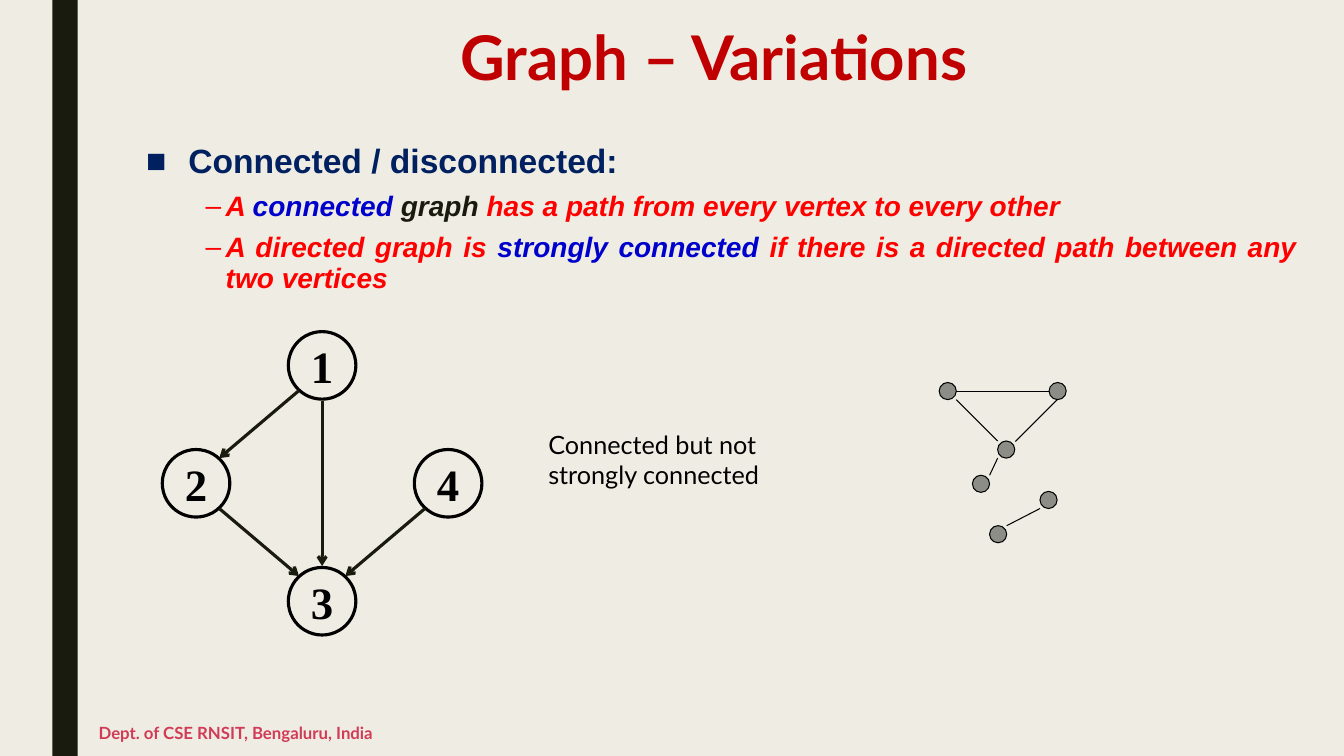
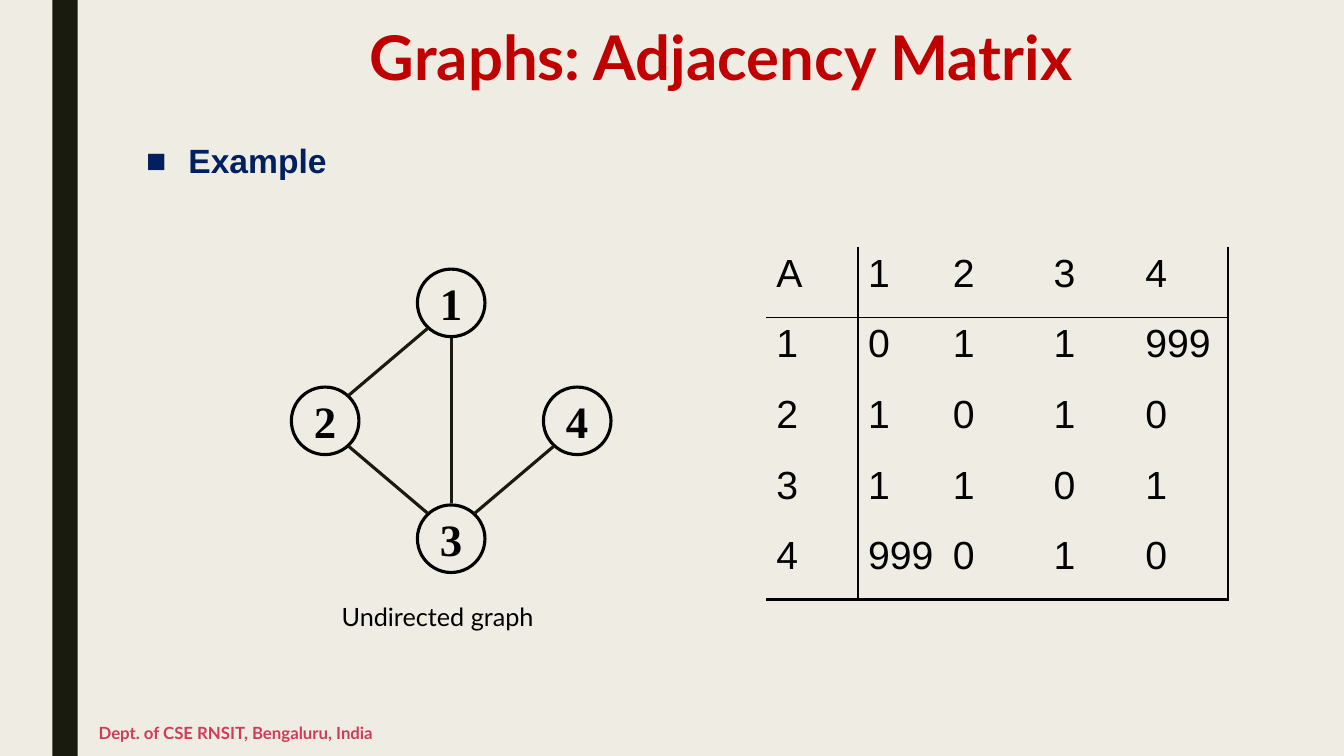
import pptx
import pptx.dml.color
import pptx.enum.shapes
import pptx.enum.text
import pptx.oxml
import pptx.oxml.ns
import pptx.util
from pptx.util import Inches

BACKGROUND, DARK, BLACK, GREY = "EFEDE3", "191B0E", "000000", "8C8D86"
TITLE_RED, FOOTER_RED, RED, NAVY, BLUE = "C00000", "D13B56", "FF0000", "002060", "0000CC"
ALIGN = pptx.enum.text.PP_ALIGN
ANCHOR = pptx.enum.text.MSO_ANCHOR
SHAPE = pptx.enum.shapes.MSO_SHAPE


def color(value):
    return pptx.dml.color.RGBColor.from_string(value)


def element(tag, parent, **attributes):
    child = pptx.oxml.ns.qn(tag)
    node = parent.makeelement(child, attributes)
    parent.append(node)
    return node


def sign(number):
    return (number > 0) - (number < 0)


class Deck:
    """Holds the shared style and the current slide of the presentation."""

    bullets = [("■", 0.42, NAVY, 24, False), ("–", 0.79, RED, 20, True)]
    hanging = [0.42, 0.2]

    def __init__(self):
        self.presentation = pptx.Presentation()
        self.presentation.slide_width = Inches(13.33)
        self.presentation.slide_height = Inches(7.5)
        fill = self.presentation.slide_master.background.fill
        fill.solid()
        fill.fore_color.rgb = color(BACKGROUND)
        self.slide = None

    def add_slide(self, title):
        self.slide = self.presentation.slides.add_slide(self.presentation.slide_layouts[6])
        self.shape(SHAPE.RECTANGLE, 0.52, 0, 0.25, 7.5, fill=DARK)
        paragraph = self.text(title, 1.35, 0.23, 11.61, 0.88, 44, TITLE_RED, bold=True)
        paragraph.alignment = ALIGN.CENTER
        paragraph.line_spacing = 0.89
        self.text("Dept. of CSE RNSIT, Bengaluru, India", 0.88, 7.05, 6.87, 0.44,
                  12, FOOTER_RED, bold=True, anchor=ANCHOR.MIDDLE)

    def font(self, paragraph, size, value, name="Lato", bold=False, italic=False):
        font = paragraph.font
        font.size = pptx.util.Pt(size)
        font.name = name
        font.bold = bold
        font.italic = italic
        font.color.rgb = color(value)

    def text(self, text, left, top, width, height, size, value, bold=False,
             anchor=ANCHOR.TOP, wrap=True):
        box = self.slide.shapes.add_textbox(Inches(left), Inches(top), Inches(width), Inches(height))
        frame = box.text_frame
        frame.word_wrap = wrap
        frame.vertical_anchor = anchor
        paragraph = frame.paragraphs[0]
        paragraph.text = text
        self.font(paragraph, size, value, bold=bold)
        return paragraph

    def body(self, items):
        box = self.slide.shapes.add_textbox(Inches(1.35), Inches(1.37), Inches(11.61), Inches(5.47))
        frame = box.text_frame
        frame.word_wrap = True
        for index, (level, runs) in enumerate(items):
            paragraph = frame.add_paragraph() if index else frame.paragraphs[0]
            character, margin, value, size, italic = self.bullets[level]
            paragraph.level = level
            paragraph.alignment = ALIGN.JUSTIFY
            paragraph.line_spacing = 0.94
            paragraph.space_before = pptx.util.Pt(5 if index else 0)
            paragraph.space_after = pptx.util.Pt(2)
            properties = paragraph._p.get_or_add_pPr()
            properties.set("marL", str(Inches(margin)))
            properties.set("indent", str(-Inches(self.hanging[level])))
            element("a:srgbClr", element("a:buClr", properties), val=value)
            element("a:buFont", properties, typeface="Arial")
            element("a:buChar", properties, char=character)
            self.font(paragraph, size, value, "Arial", True, italic)
            for text, run_color in runs:
                run = paragraph.add_run()
                run.text = text
                run.font.color.rgb = color(run_color)

    def shape(self, kind, left, top, width, height, fill=None, line=None, weight=0.75):
        shape = self.slide.shapes.add_shape(
            kind, Inches(left), Inches(top), Inches(width), Inches(height))
        shape.shadow.inherit = False
        if fill:
            shape.fill.solid()
            shape.fill.fore_color.rgb = color(fill)
        else:
            shape.fill.background()
        if line:
            shape.line.color.rgb = color(line)
            shape.line.width = pptx.util.Pt(weight)
        else:
            shape.line.fill.background()
        return shape

    def line(self, start, end, value=BLACK, weight=0.75, arrow=False):
        connector = self.slide.shapes.add_connector(
            pptx.enum.shapes.MSO_CONNECTOR.STRAIGHT, *map(Inches, (*start, *end)))
        connector.line.color.rgb = color(value)
        connector.line.width = pptx.util.Pt(weight)
        properties = connector.element.spPr
        if arrow:
            element("a:tailEnd", properties.get_or_add_ln(), type="arrow")
        element("a:effectLst", properties)

    def numbered_graph(self, left, top, arrow):
        radius, step_x, step_y = 0.335, 1.25, 1.17
        grid = {"1": (1, 0), "2": (0, 1), "4": (2, 1), "3": (1, 2)}
        centers = {label: (left + radius + column * step_x, top + radius + row * step_y)
                   for label, (column, row) in grid.items()}
        for label, (x, y) in centers.items():
            node = self.shape(SHAPE.OVAL, x - radius, y - radius, 2 * radius, 2 * radius,
                              line=BLACK, weight=2.25)
            frame = node.text_frame
            frame.word_wrap = False
            frame.vertical_anchor = ANCHOR.MIDDLE
            paragraph = frame.paragraphs[0]
            paragraph.text = label
            paragraph.alignment = ALIGN.CENTER
            self.font(paragraph, 32, BLACK, "Times New Roman", True)
        for first, second in ("12", "23", "43", "13"):
            gap = (0.23, 0.25) if first + second != "13" else (0, 0.35)
            self.edge(centers[first], centers[second], gap, DARK, 2.25, arrow)

    def dot_graph(self, centers, edges):
        radius = 0.085
        for x, y in centers:
            self.shape(SHAPE.OVAL, x - radius, y - radius, 2 * radius, 2 * radius, GREY, BLACK)
        for first, second in edges:
            self.edge(centers[first], centers[second], (radius, radius))

    def edge(self, start, end, gap, *style):
        shift = [sign(b - a) * reach for a, b, reach in zip(start, end, gap)]
        self.line([a + move for a, move in zip(start, shift)],
                  [b - move for b, move in zip(end, shift)], *style)

    def matrix(self, rows, left, top, widths, row_height, rules):
        size = len(rows)
        frame = self.slide.shapes.add_table(
            size, size, Inches(left), Inches(top), Inches(sum(widths)), Inches(row_height * size))
        table = frame.table
        table.first_row = table.horz_banding = False
        for column, width in zip(table.columns, widths):
            column.width = Inches(width)
        for row_index, values in enumerate(rows):
            table.rows[row_index].height = Inches(row_height)
            for column_index, value in enumerate(values):
                cell = table.cell(row_index, column_index)
                cell.margin_right = 0
                sides = {"L": column_index, "R": column_index + 1,
                         "T": row_index, "B": row_index + 1}
                for side, position in sides.items():
                    self.border(cell, side, rules.get(position))
                cell.fill.background()
                paragraph = cell.text_frame.paragraphs[0]
                paragraph.text = value
                self.font(paragraph, 28, BLACK, "Arial")

    def border(self, cell, side, weight):
        properties = cell._tc.get_or_add_tcPr()
        line = element("a:ln" + side, properties, w=str(pptx.util.Pt(weight or 0)))
        if weight:
            element("a:srgbClr", element("a:solidFill", line), val=BLACK)
        else:
            element("a:noFill", line)


def main():
    deck = Deck()

    deck.add_slide("Graph – Variations ")
    deck.body([
        (0, [("Connected / disconnected:", NAVY)]),
        (1, [("A ", RED), ("connected", BLUE), (" graph", DARK),
             (" has a path from every vertex to every other", RED)]),
        (1, [("A directed graph is ", RED), ("strongly connected", BLUE),
             (" if there is a directed path between any two vertices", RED)]),
    ])
    deck.numbered_graph(1.61, 3.29, arrow=True)
    deck.text("Connected but not strongly connected", 5.34, 4.21, 2.92, 0.7, 18, BLACK)
    deck.dot_graph([(9.4, 3.88), (10.49, 3.88), (9.98, 4.46), (9.73, 4.8), (10.4, 4.96), (9.9, 5.3)],
                   [(0, 2), (0, 1), (2, 3), (5, 4)])
    deck.line((10.49, 3.96), (10.07, 4.38))

    deck.add_slide("Graphs: Adjacency Matrix")
    deck.body([(0, [("Example", NAVY)])])
    deck.matrix([
        ["A", "1", "2", "3", "4"],
        ["1", "0", "1", "1", "999"],
        ["2", "1", "0", "1", "0"],
        ["3", "1", "1", "0", "1"],
        ["4", "999", "0", "1", "0"],
    ], 7.6, 2.45, [0.91, 0.84, 1, 0.91, 0.92], 0.7, {1: 1, 5: 2.25})
    deck.numbered_graph(2.89, 2.67, arrow=False)
    deck.text("Undirected graph", 3.29, 5.92, 2.12, 0.4, 18, BLACK, wrap=False)

    deck.presentation.save("out.pptx")


if __name__ == "__main__":
    main()
